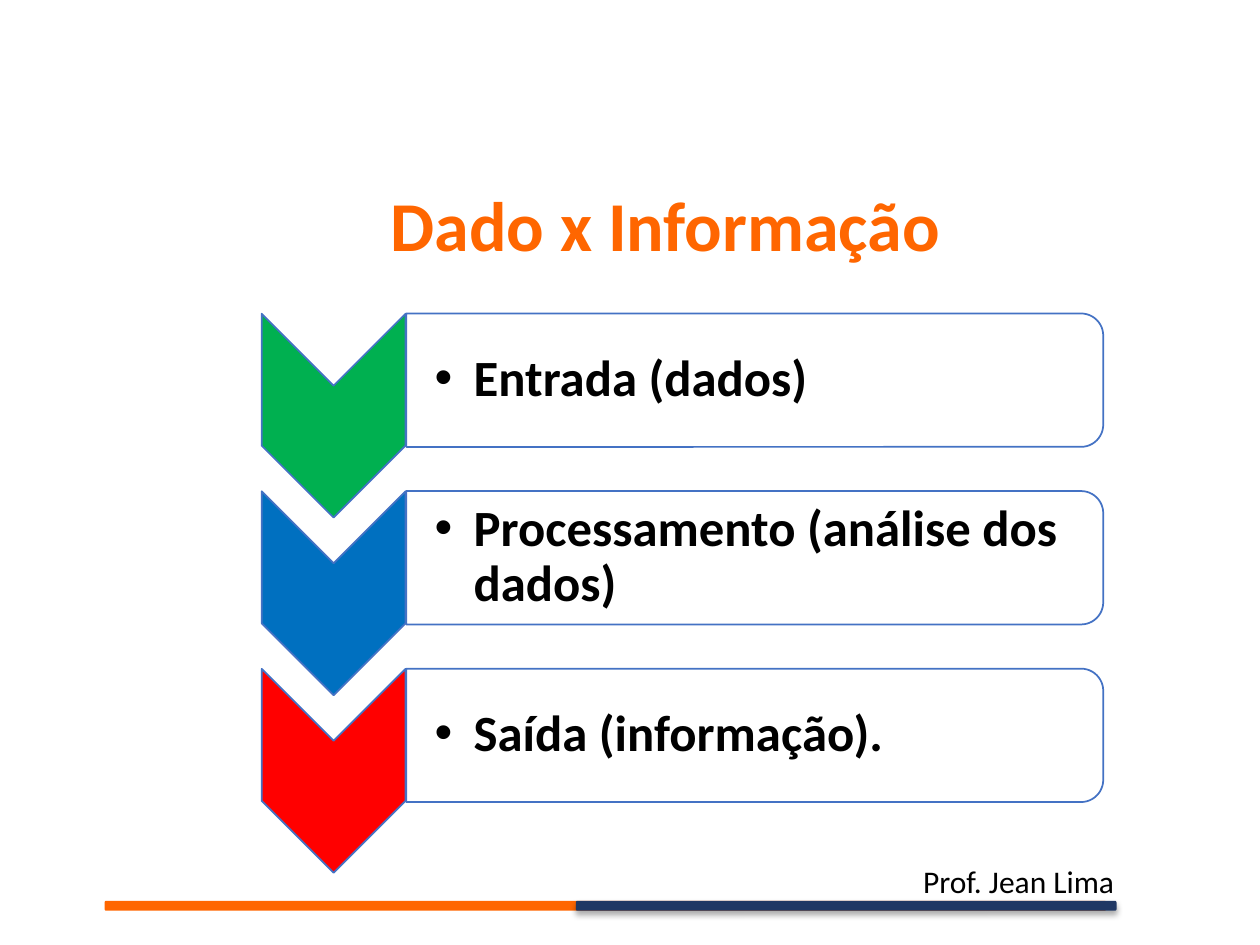
"""Build the slide "Dado x Informação" with its three processing steps."""
from lxml.etree import SubElement
from pptx import Presentation
from pptx.dml.color import RGBColor
from pptx.enum.shapes import MSO_SHAPE as Shape
from pptx.enum.text import MSO_ANCHOR as Anchor, MSO_AUTO_SIZE as AutoSize, PP_ALIGN as Align
from pptx.oxml.ns import qn
from pptx.util import Cm, Pt

ORANGE = RGBColor(0xFF, 0x66, 0x00)
NAVY = RGBColor(0x20, 0x38, 0x64)
BLUE_LINE = RGBColor(0x44, 0x72, 0xC4)
GREEN = RGBColor(0x00, 0xB0, 0x50)
BLUE = RGBColor(0x00, 0x70, 0xC0)
RED = RGBColor(0xFF, 0x00, 0x00)
WHITE = RGBColor(0xFF, 0xFF, 0xFF)
BLACK = RGBColor(0x00, 0x00, 0x00)

TITLE = "Dado x Informação"
AUTHOR = "Prof. Jean Lima"
STEPS = [
    ("Entrada (dados)", GREEN),
    ("Processamento (análise dos dados)", BLUE),
    ("Saída (informação).", RED),
]
FOOTER_BARS = [(2.11, 20.19, ORANGE), (11.61, 10.9, NAVY)]
STEP_PITCH = 3.58


def add_box(slide, kind, left, top, width, height, fill, line=None):
    shape = slide.shapes.add_shape(kind, Cm(left), Cm(top), Cm(width), Cm(height))
    shape.shadow.inherit = False
    shape.fill.solid()
    shape.fill.fore_color.rgb = fill
    if line is None:
        shape.line.fill.background()
    else:
        shape.line.color.rgb = line
        shape.line.width = Pt(1)
    return shape


def add_label(slide, text, left, top, width, height, size, color, bold=False):
    label = slide.shapes.add_textbox(Cm(left), Cm(top), Cm(width), Cm(height))
    label.text_frame.word_wrap = True
    paragraph = label.text_frame.paragraphs[0]
    paragraph.text = text
    font = paragraph.runs[0].font
    font.name, font.size, font.bold = "Calibri", Pt(size), bold
    font.color.rgb = color
    return label


def add_shadow(shape):
    effects = shape._element.spPr.find(qn("a:effectLst"))
    shadow = SubElement(effects, qn("a:outerShdw"), blurRad=str(Pt(3.5)),
                        dist=str(Pt(2.2)), dir="5400000", rotWithShape="0")
    color = SubElement(shadow, qn("a:srgbClr"), val="000000")
    SubElement(color, qn("a:alpha"), val="32000")


def add_step(slide, text, color, offset):
    chevron = add_box(slide, Shape.CHEVRON, 4.67, 6.93 + offset, 4.11, 2.9, color, BLUE_LINE)
    panel = add_box(slide, Shape.ROUND_2_SAME_RECTANGLE, 13.87, 0.64 + offset,
                    2.69, 14.05, WHITE, BLUE_LINE)
    chevron.rotation = panel.rotation = 90
    fill_color = panel._element.spPr.find(qn("a:solidFill"))[0]
    SubElement(fill_color, qn("a:alpha"), val="90000")

    label = add_label(slide, text, 8.18, 6.45 + offset, 13.92, 2.41, 29, BLACK, True)
    frame = label.text_frame
    frame.vertical_anchor = Anchor.MIDDLE
    frame.margin_left = Cm(0.58)
    frame.margin_top = frame.margin_right = frame.margin_bottom = Cm(0.05)
    paragraph = frame.paragraphs[0]
    paragraph.line_spacing = 0.9
    properties = paragraph._p.get_or_add_pPr()
    properties.set("marL", str(Cm(0.79)))
    properties.set("indent", str(Cm(-0.79)))
    SubElement(properties, qn("a:buFont"), typeface="Arial")
    SubElement(properties, qn("a:buChar"), char="•")


def main():
    presentation = Presentation()
    presentation.slide_width, presentation.slide_height = Cm(25.4), Cm(19.05)
    slide = presentation.slides.add_slide(presentation.slide_layouts[6])

    bars = [add_box(slide, Shape.ROUNDED_RECTANGLE, left, 18.16, width, 0.2, color)
            for left, width, color in FOOTER_BARS]
    add_shadow(bars[-1])
    author = add_label(slide, AUTHOR, 18.36, 17.25, 5.33, 1.02, 18, BLACK)
    author.text_frame.auto_size = AutoSize.SHAPE_TO_FIT_TEXT

    title = add_label(slide, TITLE, 2.11, 3.73, 22.61, 2.21, 40, ORANGE, True)
    heading = title.text_frame.paragraphs[0]
    heading.alignment = Align.CENTER
    heading.line_spacing = 0.9
    heading.space_before = Pt(7.5)

    for index, (text, color) in enumerate(STEPS):
        add_step(slide, text, color, index * STEP_PITCH)
    presentation.save("out.pptx")


if __name__ == "__main__":
    main()
